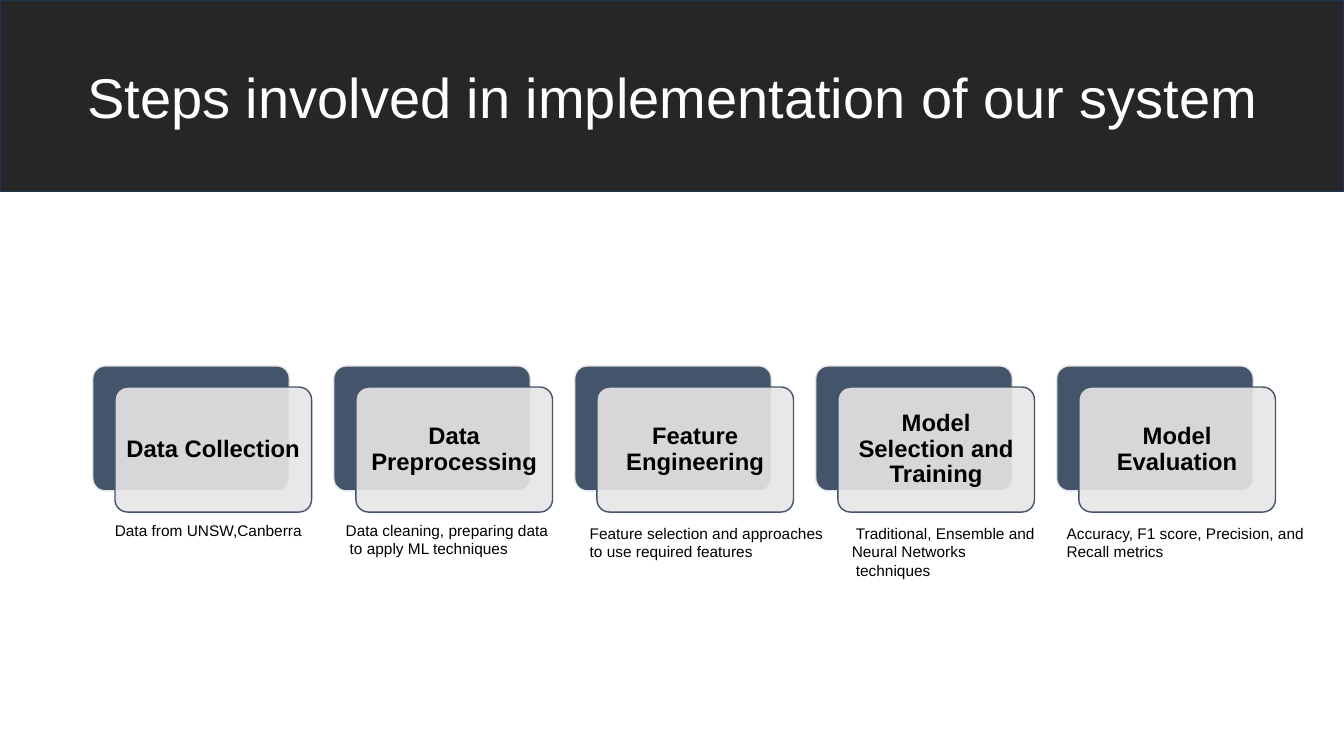
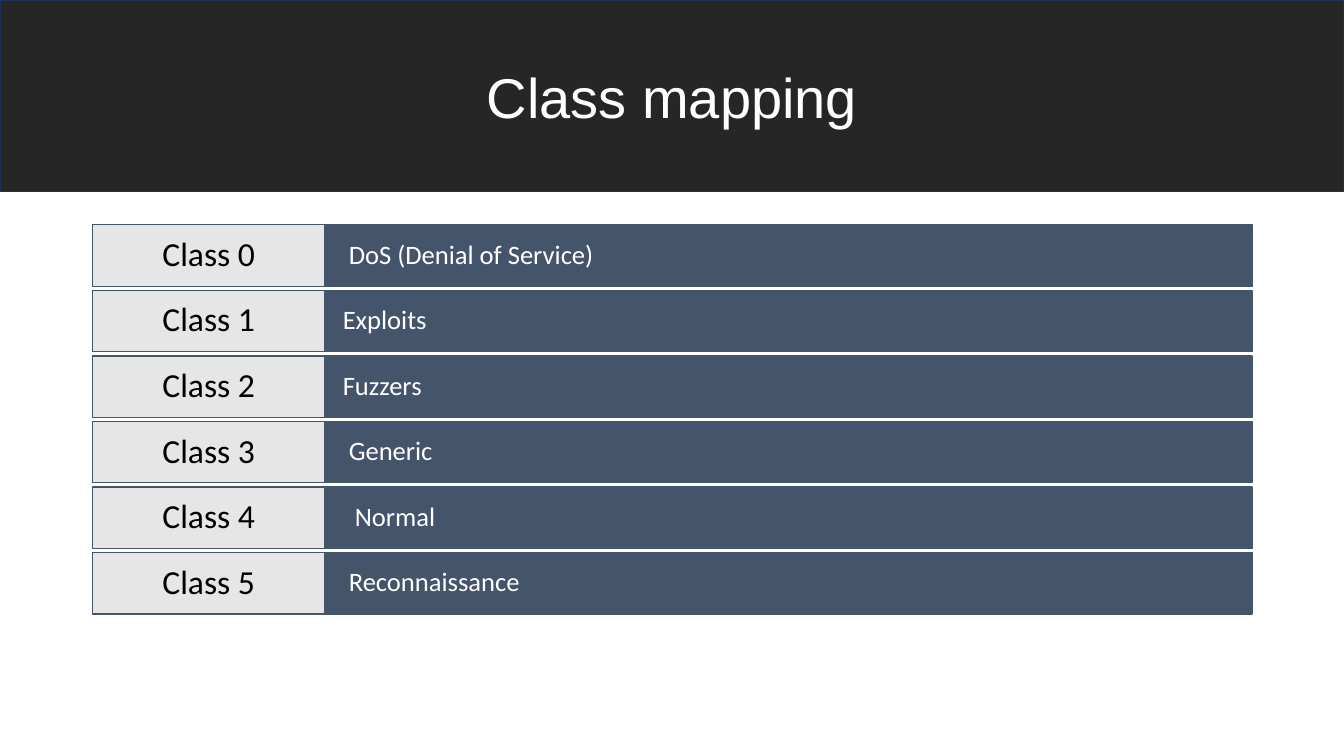
from dataclasses import dataclass

from lxml import etree
from pptx import Presentation
from pptx import util as u
from pptx.dml.color import RGBColor
from pptx.enum import shapes, text
from pptx.oxml import ns


@dataclass(frozen=True)
class Theme:
    band: RGBColor = RGBColor.from_string("262626")
    band_edge: RGBColor = RGBColor.from_string("1E3256")
    slate: RGBColor = RGBColor.from_string("44546A")
    pale: RGBColor = RGBColor.from_string("E7E6E6")
    white: RGBColor = RGBColor.from_string("FFFFFF")
    black: RGBColor = RGBColor.from_string("000000")
    heading_font: str = "Arial"
    row_font: str = "Calibri"
    title_size: u.Pt = u.Pt(40)
    card_size: u.Pt = u.Pt(17)
    caption_size: u.Pt = u.Pt(11)
    label_size: u.Pt = u.Pt(24)
    row_size: u.Pt = u.Pt(19)
    line_width: u.Pt = u.Pt(1)


theme = Theme()
deck = Presentation()
deck.slide_width = u.Inches(13.33)
deck.slide_height = u.Inches(7.5)


def add_titled_page(title):
    """Add a page whose title placeholder is the dark band across the top."""
    page = deck.slides.add_slide(deck.slide_layouts[5])
    band = page.shapes.title
    band.left, band.top = u.Inches(0), u.Inches(0)
    band.width, band.height = deck.slide_width, u.Inches(1.9)
    band.fill.solid()
    band.fill.fore_color.rgb = theme.band
    band.line.color.rgb = theme.band_edge
    band.line.width = theme.line_width
    frame = band.text_frame
    frame.text = title
    frame.auto_size = text.MSO_AUTO_SIZE.NONE
    frame.vertical_anchor = text.MSO_ANCHOR.MIDDLE
    para = frame.paragraphs[0]
    para.alignment = text.PP_ALIGN.CENTER
    para.font.size = theme.title_size
    para.font.name = theme.heading_font
    para.font.color.rgb = theme.white
    return page


def add_box(page, kind, left, top, width, height, fill, edge, words="",
            size=None, font=None, color=None, align=text.PP_ALIGN.CENTER, inset=0.06):
    """Add a filled, outlined shape with vertically centred text."""
    box = page.shapes.add_shape(kind, u.Inches(left), u.Inches(top),
                                u.Inches(width), u.Inches(height))
    box.shadow.inherit = False
    box.fill.solid()
    box.fill.fore_color.rgb = fill
    box.line.color.rgb = edge
    box.line.width = theme.line_width
    if words:
        frame = box.text_frame
        frame.text = words
        frame.word_wrap = True
        frame.vertical_anchor = text.MSO_ANCHOR.MIDDLE
        frame.margin_left = u.Inches(inset)
        frame.margin_right = frame.margin_top = frame.margin_bottom = u.Inches(0.06)
        para = frame.paragraphs[0]
        para.alignment = align
        para.line_spacing = 0.9
        para.font.size = size
        para.font.name = font
        para.font.color.rgb = color
    return box


# Slide 1: five layered step cards
page = add_titled_page("Steps involved in implementation of our system")
steps = ["Data Collection", "Data Preprocessing", "Feature Engineering",
         "Model Selection and Training", "Model Evaluation"]
card_kind = shapes.MSO_SHAPE.ROUNDED_RECTANGLE
card_width, card_height = 1.95, 1.24
for index, step in enumerate(steps):
    left = 0.92 + index * 2.39
    back = add_box(page, card_kind, left, 3.63, card_width, card_height,
                   theme.slate, theme.pale)
    front = add_box(page, card_kind, left + 0.22, 3.84, card_width, card_height,
                    theme.pale, theme.slate, step,
                    theme.card_size, theme.heading_font, theme.black)
    front.text_frame.paragraphs[0].font.bold = True
    back.adjustments[0] = front.adjustments[0] = 0.1
    # Let the back card show through the front one
    fill_color = front.fill._xPr.find(ns.qn("a:solidFill"))[0]
    etree.SubElement(fill_color, ns.qn("a:alpha")).set("val", "90000")

# Captions: left, top, width, then lines with their first-line indent
captions = [
    (1.04, 5.12, 2.8, [("Data from UNSW,Canberra", 0)]),
    (3.33, 5.12, 2.8, [("Data cleaning, preparing data", 0),
                       ("to apply ML techniques", 0.04)]),
    (5.75, 5.15, 2.8, [("Feature selection and approaches", 0),
                       ("to use required features", 0)]),
    (8.35, 5.15, 2.4, [("Traditional, Ensemble and Neural Networks", 0.04),
                       ("techniques", 0.04)]),
    (10.48, 5.15, 2.8, [("Accuracy, F1 score, Precision, and Recall metrics", 0)]),
]
for left, top, width, lines in captions:
    box = page.shapes.add_textbox(u.Inches(left), u.Inches(top),
                                  u.Inches(width), u.Inches(0.6))
    frame = box.text_frame
    frame.word_wrap = True
    frame.text = "\n".join(line for line, indent in lines)
    for para, (line, indent) in zip(frame.paragraphs, lines):
        para._p.get_or_add_pPr().set("indent", str(u.Inches(indent)))
        para.font.size = theme.caption_size
        para.font.name = theme.heading_font
        para.font.color.rgb = theme.black

# Slide 2: one row per class, with the left inset of its name
page = add_titled_page("Class mapping")
classes = [("DoS (Denial of Service)", 0.24), ("Exploits", 0.18), ("Fuzzers", 0.18),
           ("Generic", 0.24), ("Normal", 0.3), ("Reconnaissance", 0.24)]
row_kind = shapes.MSO_SHAPE.RECTANGLE
row_height = 0.61
for index, (name, inset) in enumerate(classes):
    top = 2.23 + index * 0.65
    add_box(page, row_kind, 3.22, top, 9.2, row_height, theme.slate, theme.slate, name,
            theme.row_size, theme.row_font, theme.white, text.PP_ALIGN.LEFT, inset)
    add_box(page, row_kind, 0.92, top, 2.3, row_height, theme.pale, theme.slate,
            f"Class {index}", theme.label_size, theme.row_font, theme.black)

deck.save("out.pptx")
